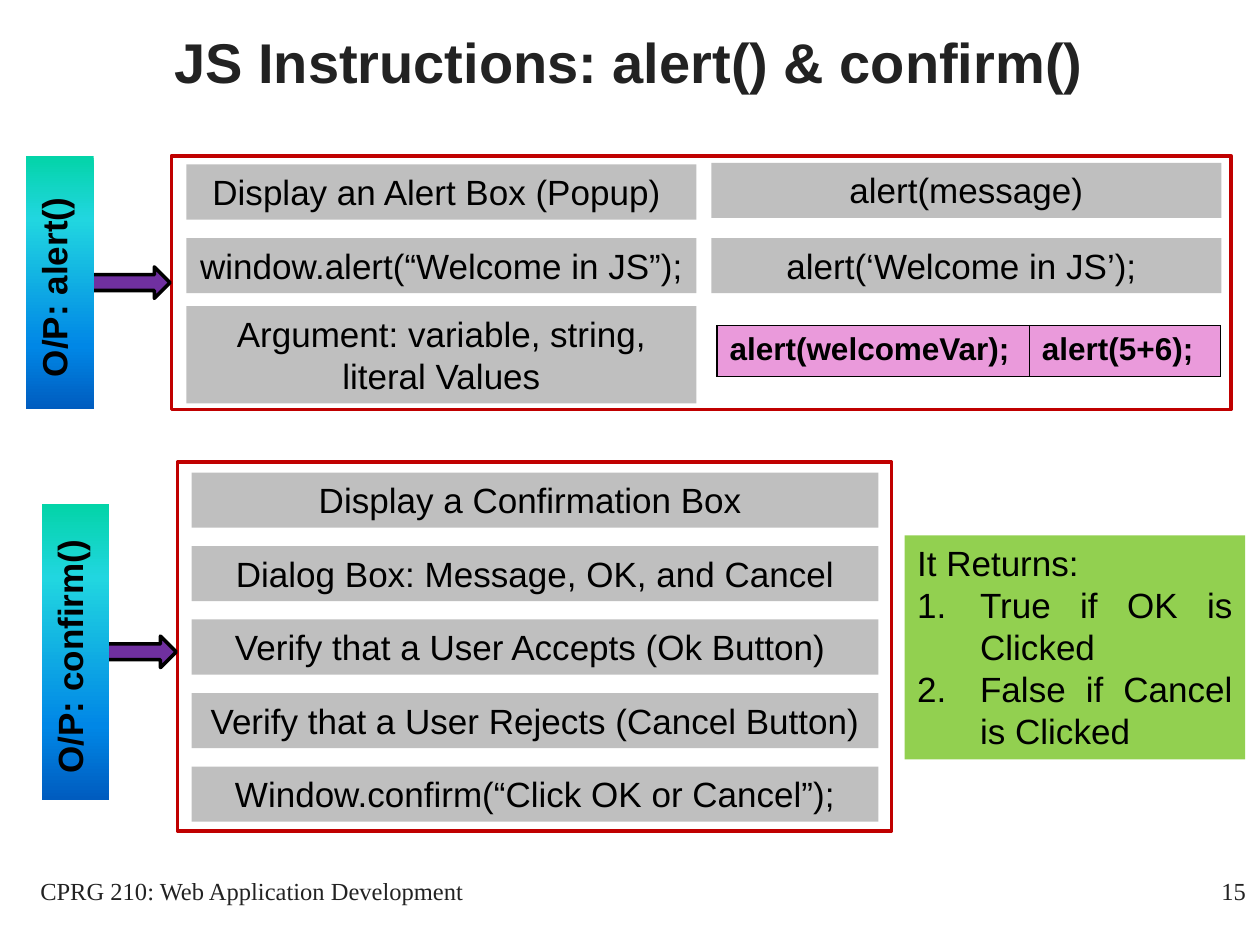
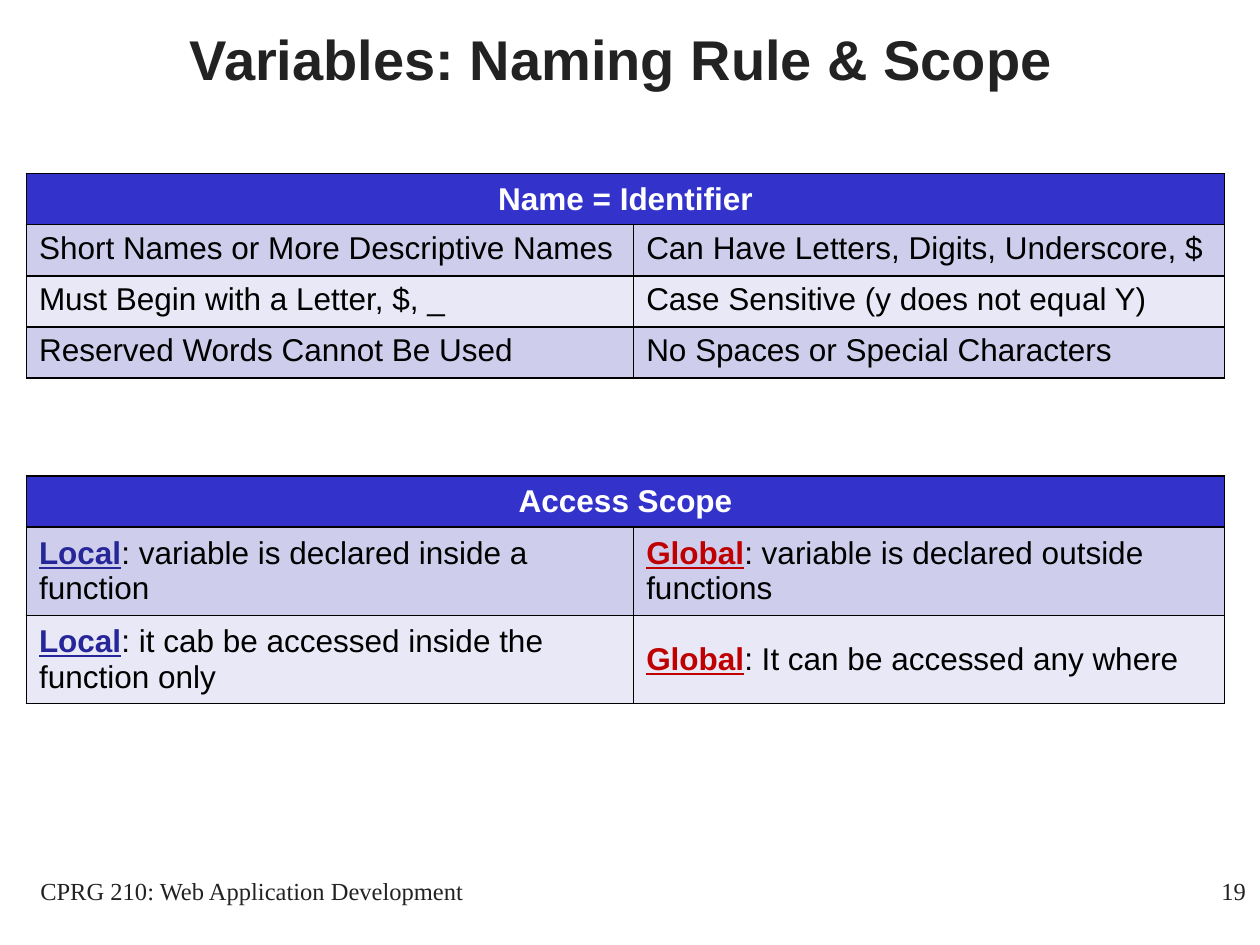
from collections import namedtuple

from lxml import etree
from pptx import Presentation
from pptx import util as u
from pptx.dml import color
from pptx.enum import shapes, text
from pptx.oxml import ns

Box = namedtuple("Box", "left top width height")

BODY_FONT, FOOTER_FONT = "Arial", "Times New Roman"
BLACK, WHITE, INK = "000000", "FFFFFF", "222222"
GREY, GREEN, PINK, PURPLE, RED = "BFBFBF", "92D050", "EA9ADB", "7030A0", "C00000"
HEADER_BLUE, TERM_BLUE = "3333CC", "262699"
BANDS = ("CECEEC", "E8E8F6")
LABEL_STOPS = ((0, "03D4A8"), (25, "21D6E0"), (75, "0087E6"), (100, "005CBF"))
TERM_COLOURS = {"Local": TERM_BLUE, "Global": RED}
ROW_HEIGHT, TALL_ROW_HEIGHT = 29.2, 47.6
BAR_HEIGHT = 31.5
LEFT, CENTER, RIGHT, JUSTIFY = (
    text.PP_ALIGN.LEFT, text.PP_ALIGN.CENTER, text.PP_ALIGN.RIGHT, text.PP_ALIGN.JUSTIFY)
TOP, MIDDLE = text.MSO_ANCHOR.TOP, text.MSO_ANCHOR.MIDDLE


def rgb(value):
    """Turn a hex string into a colour."""
    return color.RGBColor.from_string(value)


def points(box):
    """Turn a box of numbers into lengths in points."""
    return [u.Pt(value) for value in box]


def style(para, size, colour=BLACK, bold=False, align=CENTER, font=BODY_FONT):
    """Set the font and alignment of one paragraph."""
    para.alignment = align
    para.font.name, para.font.size, para.font.bold = font, u.Pt(size), bold
    para.font.color.rgb = rgb(colour)


def add_child(parent, tag, **attributes):
    """Append a DrawingML element and return it."""
    return etree.SubElement(parent, ns.qn("a:" + tag), attributes)


def add_shape(page, box, fill=None, line=None, kind=shapes.MSO_SHAPE.RECTANGLE):
    """Add a flat preset shape with an optional fill and outline."""
    shape = page.shapes.add_shape(kind, *points(box))
    shape.shadow.inherit = False
    if fill:
        shape.fill.solid()
        shape.fill.fore_color.rgb = rgb(fill)
    else:
        shape.fill.background()
    if line:
        shape.line.color.rgb = rgb(line)
        shape.line.width = u.Pt(2)
    else:
        shape.line.fill.background()
    shape.text_frame.vertical_anchor = TOP
    return shape


def add_bar(page, box, words):
    """Add a grey bar with one centred statement."""
    para = add_shape(page, box, GREY).text_frame.paragraphs[0]
    para.text = words
    style(para, 20)


def add_label(page, box, words):
    """Add an upright label with a gradient from teal to blue."""
    label = add_shape(page, box, GREY)
    label.fill.gradient()
    label.fill.gradient_angle = 270
    stops = label.element.spPr.find(".//" + ns.qn("a:gsLst"))
    for stop in list(stops):
        stops.remove(stop)
    for percent, colour in LABEL_STOPS:
        stop = add_child(stops, "gs", pos=str(percent * 1000))
        add_child(stop, "srgbClr", val=colour)
    label.element.find(".//" + ns.qn("a:bodyPr")).set("vert", "vert270")
    para = label.text_frame.paragraphs[0]
    para.text = words
    style(para, 20, bold=True)


def add_panel(page, box, label_box, words):
    """Add a red frame with an arrow that leads in from its label."""
    add_shape(page, box, line=RED)
    middle = label_box.top + label_box.height / 2
    add_shape(page, Box(box.left - 67, middle - 9, 66.2, 18), PURPLE, BLACK,
              shapes.MSO_SHAPE.RIGHT_ARROW)
    add_label(page, label_box, words)


def fill_cell(cell, words, fill, anchor, **look):
    """Give a cell its borders, fill and text, with any leading term marked."""
    properties = cell._tc.get_or_add_tcPr()
    for side in ("lnL", "lnR", "lnT", "lnB"):
        border = add_child(properties, side, w="12700")
        add_child(add_child(border, "solidFill"), "srgbClr", val=BLACK)
    cell.fill.solid()
    cell.fill.fore_color.rgb = rgb(fill)
    cell.vertical_anchor = anchor
    para = cell.text_frame.paragraphs[0]
    style(para, 18, **look)
    term, colon, rest = words.partition(":")
    if term in TERM_COLOURS:
        span = para.add_run()
        span.text = term
        span.font.bold = span.font.underline = True
        span.font.color.rgb = rgb(TERM_COLOURS[term])
        words = colon + rest
    para.add_run().text = words


def add_grid(page, left, top, widths, heights):
    """Add a plain table with the given column widths and row heights."""
    box = Box(left, top, sum(widths), sum(heights))
    table = page.shapes.add_table(len(heights), len(widths), *points(box)).table
    table.first_row = table.horz_banding = False
    for column, width in zip(table.columns, widths):
        column.width = u.Pt(width)
    for row, height in zip(table.rows, heights):
        row.height = u.Pt(height)
    return table


def add_rules(page, top, heading, rows, row_height, anchor):
    """Add a banded table of two columns under a merged heading."""
    table = add_grid(page, 15.1, top, (347, 337.7),
                     [ROW_HEIGHT] + [row_height] * len(rows))
    for column in range(2):
        fill_cell(table.cell(0, column), "" if column else heading, HEADER_BLUE, MIDDLE,
                  colour=WHITE, bold=True)
    table.cell(0, 0).merge(table.cell(0, 1))
    for index, row in enumerate(rows):
        for column, words in enumerate(row):
            fill_cell(table.cell(index + 1, column), words, BANDS[index % 2], anchor,
                      align=LEFT)


def add_alert(page, box):
    """Add the alert panel with its two columns and sample calls."""
    add_panel(page, box, Box(15, box.top, 38.5, box.height), "O/P: alert() ")
    bars = (
        (8.5, 5, BAR_HEIGHT, "Display an Alert Box (Popup) "),
        (308.5, 4, BAR_HEIGHT, "alert(message)"),
        (8.5, 47, BAR_HEIGHT, "window.alert(“Welcome in JS”); "),
        (308.5, 47, BAR_HEIGHT, "alert(‘Welcome in JS’); "),
        (8.5, 86, 55.5, "Argument: variable, string, literal Values"),
    )
    for across, down, height, words in bars:
        add_bar(page, Box(box.left + across, box.top + down, 291.5, height), words)
    calls = add_grid(page, box.left + 311.7, box.top + 97, (178.5, 109.2), (ROW_HEIGHT,))
    for column, words in enumerate(("alert(welcomeVar);", "alert(5+6);")):
        fill_cell(calls.cell(0, column), words, PINK, TOP, bold=True, align=LEFT)


def add_confirm(page, box):
    """Add the confirm panel with its evenly spaced bars."""
    add_panel(page, box, Box(24, 288, 38.5, 169), "O/P: confirm() ")
    bars = (
        "Display a Confirmation Box ",
        "Dialog Box: Message, OK, and Cancel",
        "Verify that a User Accepts (Ok Button) ",
        "Verify that a User Rejects (Cancel Button)",
        "Window.confirm(“Click OK or Cancel”);",
    )
    for index, words in enumerate(bars):
        add_bar(page, Box(box.left + 8, box.top + 6 + 42 * index, 392.5, BAR_HEIGHT), words)


def add_returns(page, box):
    """Add the green note with its numbered results."""
    frame = add_shape(page, box, GREEN).text_frame
    lines = ("It Returns:", "True if OK is Clicked", "False if Cancel is Clicked")
    frame.text = "\n".join(lines)
    for para in frame.paragraphs:
        style(para, 20, align=JUSTIFY)
    for para in frame.paragraphs[1:]:
        properties = para._p.get_or_add_pPr()
        properties.set("marL", str(u.Pt(36)))
        properties.set("indent", str(-u.Pt(36)))
        numbering = etree.Element(ns.qn("a:buAutoNum"), type="arabicPeriod")
        properties.insert(0, numbering)


def add_page(deck, title, title_top, number):
    """Add a slide with its title, footer and number."""
    page = deck.slides.add_slide(deck.slide_layouts[5])
    heading = page.shapes.title
    heading.left, heading.top, heading.width, heading.height = points(
        Box(0, title_top, 719, 90))
    heading.text_frame.vertical_anchor = MIDDLE
    heading.text_frame.text = title
    style(heading.text_frame.paragraphs[0], 32, INK, bold=True)
    footers = (
        (Box(0, 497, 288, 36), "CPRG 210: Web Application Development", CENTER),
        (Box(569, 497, 150, 36), str(number), RIGHT),
    )
    for box, words, align in footers:
        frame = page.shapes.add_textbox(*points(box)).text_frame
        frame.word_wrap = True
        frame.text = words
        style(frame.paragraphs[0], 14, INK, align=align, font=FOOTER_FONT)
    return page


def add_instructions(deck):
    """Add the slide on alert and confirm."""
    page = add_page(deck, "JS Instructions: alert() & confirm()", -10, 15)
    add_alert(page, Box(98, 89, 605.5, 145))
    add_confirm(page, Box(101.5, 264, 408, 211))
    add_returns(page, Box(517, 306, 194.5, 128))


def add_variables(deck):
    """Add the slide on naming rules and scope."""
    page = add_page(deck, "Variables: Naming Rule & Scope ", -12, 19)
    add_rules(page, 99.2, "Name = Identifier", (
        ("Short Names or More Descriptive Names", "Can Have Letters, Digits, Underscore, $"),
        ("Must Begin with a Letter, $, _", "Case Sensitive (y does not equal Y)"),
        ("Reserved Words Cannot Be Used", "No Spaces or Special Characters"),
    ), ROW_HEIGHT, TOP)
    add_rules(page, 272, "Access Scope", (
        ("Local: variable is declared inside a function",
         "Global: variable is declared outside functions"),
        ("Local: it cab be accessed inside the function only",
         "Global: It can be accessed any where"),
    ), TALL_ROW_HEIGHT, MIDDLE)


def main():
    """Build and save the deck."""
    deck = Presentation()
    deck.slide_width, deck.slide_height = u.Pt(720), u.Pt(540)
    add_instructions(deck)
    add_variables(deck)
    deck.save("out.pptx")


if __name__ == "__main__":
    main()
